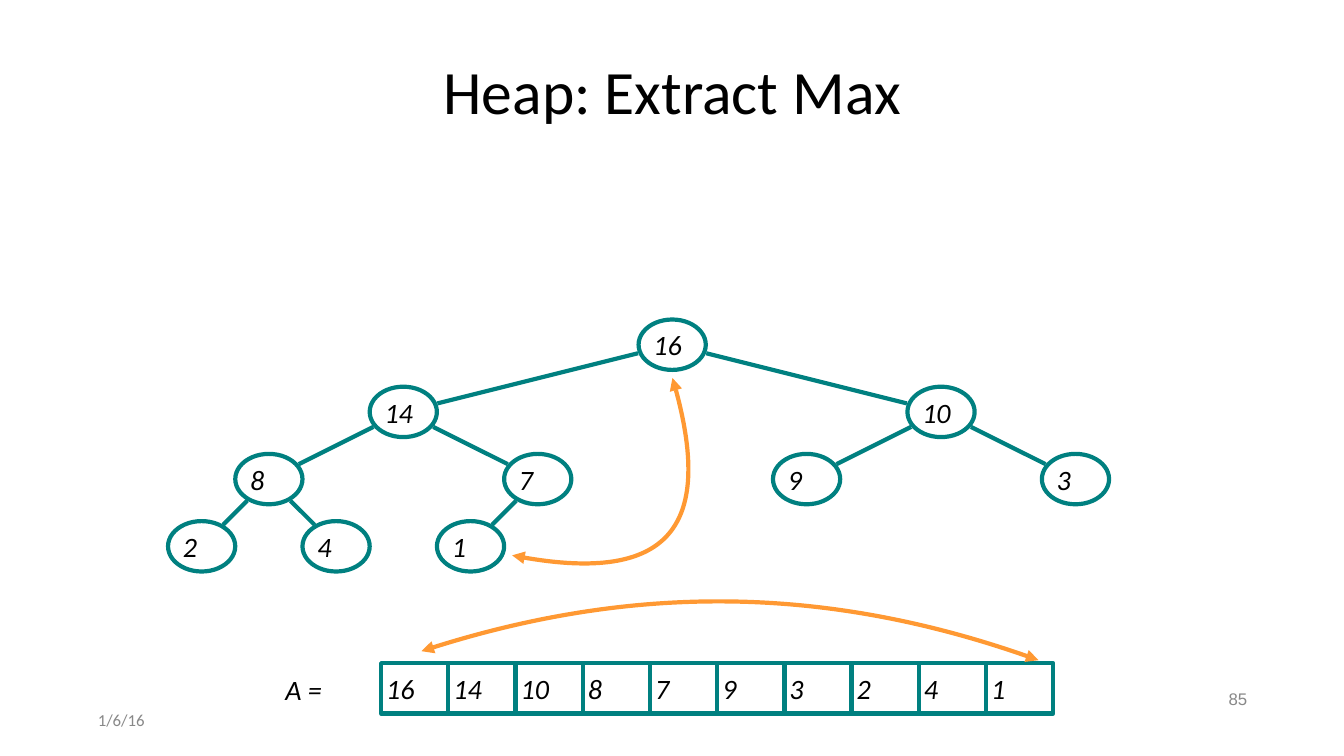
import math

from lxml import etree
from pptx import Presentation
from pptx.dml.color import RGBColor
from pptx.enum.shapes import MSO_CONNECTOR, MSO_SHAPE
from pptx.enum.text import MSO_ANCHOR, PP_ALIGN
from pptx.oxml.ns import qn
from pptx.util import Inches, Pt

LEFT, CENTER, RIGHT = PP_ALIGN.LEFT, PP_ALIGN.CENTER, PP_ALIGN.RIGHT
MIDDLE = MSO_ANCHOR.MIDDLE
OVAL, RECTANGLE = MSO_SHAPE.OVAL, MSO_SHAPE.RECTANGLE
STRAIGHT = MSO_CONNECTOR.STRAIGHT

COLORS = {"teal": "008080", "orange": "FF9933", "white": "FFFFFF",
          "black": "000000", "gray": "888888"}
HEAP = [16, 14, 10, 8, 7, 9, 3, 2, 4, 1]
UNIT = 2 / 3
NODE_WIDTH, NODE_HEIGHT = UNIT, 0.5
ROOT_X, ROOT_Y = 10 * UNIT, 3.42
ARRAY_LEFT, ARRAY_TOP = 3.78, 6.58
EDGE_CLEARANCE = 1.07


def color(name):
    """Return the named colour."""
    return RGBColor.from_string(COLORS[name])


def style_line(line, name):
    """Give a line its colour and weight."""
    line.color.rgb = color(name)
    line.width = Pt(3)


def write(shape, text, size=20, ink="black", align=LEFT, italic=True,
          font="Calibri", spacing=1.0):
    """Set one formatted paragraph in a shape."""
    frame = shape.text_frame
    frame.text = text
    frame.word_wrap = True
    frame.vertical_anchor = MIDDLE
    frame.margin_left = frame.margin_right = Inches(0.05)
    frame.margin_top = frame.margin_bottom = Inches(0.05)
    para = frame.paragraphs[0]
    para.alignment = align
    para.line_spacing = spacing
    span = para.runs[0]
    span.font.name = font
    span.font.size = Pt(size)
    span.font.italic = italic
    span.font.color.rgb = color(ink)


def add_label(page, text, left, top, width, height, **style):
    """Add a text box."""
    box = page.shapes.add_textbox(*map(Inches, (left, top, width, height)))
    write(box, text, **style)


def add_value(page, kind, value, left, top, filled):
    """Add an outlined shape holding one heap value."""
    shape = page.shapes.add_shape(
        kind, *map(Inches, (left, top, NODE_WIDTH, NODE_HEIGHT)))
    shape.shadow.inherit = False
    if filled:
        shape.fill.solid()
        shape.fill.fore_color.rgb = color("white")
    else:
        shape.fill.background()
    style_line(shape.line, "teal")
    write(shape, str(value))


def node_center(index):
    """Return the centre of the node at a 1-based heap index."""
    if index == 1:
        return ROOT_X, ROOT_Y
    x, y = node_center(index // 2)
    depth = index.bit_length() - 1
    side = 1 if index % 2 else -1
    return x + side * 8 * UNIT / 2 ** depth, y + UNIT


def add_edge(page, child):
    """Join a node to its parent, from outline to outline."""
    x1, y1 = node_center(child // 2)
    x2, y2 = node_center(child)
    dx, dy = x2 - x1, y2 - y1
    cut = EDGE_CLEARANCE / math.hypot(2 * dx / NODE_WIDTH, 2 * dy / NODE_HEIGHT)
    ends = (x1 + cut * dx, y1 + cut * dy, x2 - cut * dx, y2 - cut * dy)
    edge = page.shapes.add_connector(STRAIGHT, *map(Inches, ends))
    style_line(edge.line, "teal")
    etree.SubElement(edge._element.spPr, qn("a:effectLst"))


def add_swap_arrow(page, start, controls, frame):
    """Add a double-headed cubic curve whose visible extent is the frame."""
    builder = page.shapes.build_freeform(*map(Inches, start))
    builder.add_line_segments(
        [tuple(map(Inches, point)) for point in controls], close=False)
    arrow = builder.convert_to_shape()
    arrow.shadow.inherit = False
    arrow.fill.background()
    style_line(arrow.line, "orange")
    left, top, width, height = map(Inches, frame)
    shift_x, shift_y = arrow.left - left, arrow.top - top
    outline = arrow._element.find(".//" + qn("a:path"))
    curve = etree.SubElement(outline, qn("a:cubicBezTo"))
    for segment in outline.findall(qn("a:lnTo")):
        curve.append(segment[0])
        outline.remove(segment)
    for point in outline.iter(qn("a:pt")):
        point.set("x", str(int(point.get("x")) + shift_x))
        point.set("y", str(int(point.get("y")) + shift_y))
    outline.set("w", str(width))
    outline.set("h", str(height))
    arrow.left, arrow.top, arrow.width, arrow.height = left, top, width, height
    line = arrow._element.spPr.find(qn("a:ln"))
    for end in ("a:headEnd", "a:tailEnd"):
        etree.SubElement(line, qn(end), type="triangle")


def main():
    """Build the slide."""
    deck = Presentation()
    deck.slide_width, deck.slide_height = Inches(13.33), Inches(7.5)
    page = deck.slides.add_slide(deck.slide_layouts[6])

    add_label(page, "1/6/16", 0.92, 7, 3, 0.29, size=12, ink="gray", italic=False)
    add_label(page, "85", 9.42, 6.8, 3, 0.29, size=12, ink="gray", align=RIGHT,
              italic=False, font="Arial", spacing=0.9)
    add_label(page, "Heap: Extract Max", 0.92, 0.4, 11.5, 1.07, size=44,
              align=CENTER, italic=False, spacing=0.9)

    for index, value in enumerate(HEAP, start=1):
        x, y = node_center(index)
        add_value(page, OVAL, value, x - NODE_WIDTH / 2, y - NODE_HEIGHT / 2, True)
    for child in range(2, len(HEAP) + 1):
        add_edge(page, child)

    for position, value in enumerate(HEAP):
        add_value(page, RECTANGLE, value, ARRAY_LEFT + position * NODE_WIDTH,
                  ARRAY_TOP, False)
    add_label(page, "A =", 2.78, 6.62, 0.48, 0.43)

    add_swap_arrow(page, (6.67, 3.75), [(7.11, 5.22), (6.58, 5.81), (5.08, 5.51)],
                   (5.08, 3.75, 1.74, 1.83))
    add_swap_arrow(page, (4.18, 6.46), [(6.25, 5.78), (8.29, 5.82), (10.3, 6.55)],
                   (4.18, 5.98, 6.12, 0.58))
    deck.save("out.pptx")


if __name__ == "__main__":
    main()
